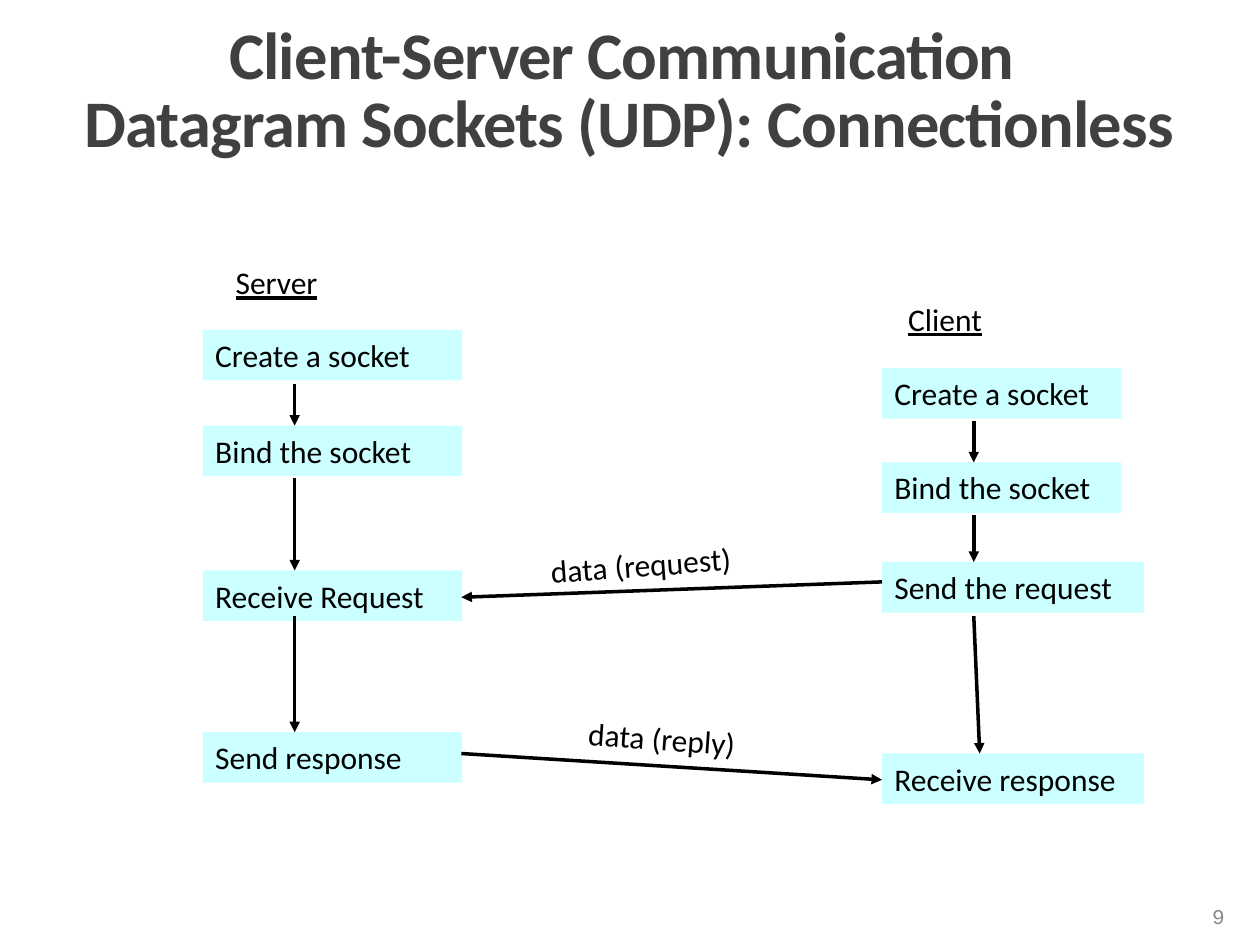
from lxml import etree
from pptx import Presentation
from pptx.dml.color import RGBColor
from pptx.enum.shapes import MSO_CONNECTOR, MSO_SHAPE
from pptx.enum.text import MSO_ANCHOR, PP_ALIGN
from pptx.oxml.ns import qn
from pptx.util import Cm, Pt

RECT = MSO_SHAPE.RECTANGLE
LINE = MSO_CONNECTOR.STRAIGHT
TOP, MID, LOW = MSO_ANCHOR.TOP, MSO_ANCHOR.MIDDLE, MSO_ANCHOR.BOTTOM
LEFT, MIDST, RIGHT = PP_ALIGN.LEFT, PP_ALIGN.CENTER, PP_ALIGN.RIGHT

BODY = {"name": "Calibri", "size": Pt(18)}
HEAD = {"name": "Calibri", "size": Pt(38), "bold": True}
PAGE = {"name": "Courier New", "size": Pt(12)}
ROW = 1.02

SERVER = [
    ("Create a socket", 1.47, 5.23, 2.57),
    ("Bind the socket", 3.4, 5.23, 4.45),
    ("Receive Request", 6.32, 5.23, 7.24),
    ("Send response", 9.58, 5.23, None),
]
CLIENT = [
    ("Create a socket", 1.5, 4.83, 2.56),
    ("Bind the socket", 3.4, 4.83, 4.47),
    ("Send the request", 5.41, 5.28, 6.5),
    ("Receive response", 9.27, 5.28, None),
]


def tint(code):
    """Turn a hex string into a colour."""
    return RGBColor.from_string(code)


def write(shape, text, style, ink="000000", anchor=TOP, align=LEFT):
    """Fill a shape with one formatted paragraph and return it."""
    frame = shape.text_frame
    frame.word_wrap = True
    frame.vertical_anchor = anchor
    para = frame.paragraphs[0]
    para.text = text
    para.alignment = align
    for run in para.runs:
        for key, value in style.items():
            setattr(run.font, key, value)
        run.font.color.rgb = tint(ink)
    return para


def note(slide, box, text, style=BODY, turn=0, **look):
    """Add a text box, turned by the given degrees."""
    shape = slide.shapes.add_textbox(*map(Cm, box))
    shape.rotation = turn
    return write(shape, text, style, **look)


def step(slide, box, text):
    """Add one filled step box."""
    shape = slide.shapes.add_shape(RECT, *map(Cm, box))
    shape.shadow.inherit = False
    shape.fill.solid()
    shape.fill.fore_color.rgb = tint("CCFFFF")
    shape.line.fill.background()
    write(shape, text, BODY)


def arrow(slide, *ends):
    """Add a black arrow between two points."""
    link = slide.shapes.add_connector(LINE, *map(Cm, ends))
    link.line.color.rgb = tint("000000")
    link.line.width = Pt(2)
    tip = etree.SubElement(link.line._get_or_add_ln(), qn("a:tailEnd"))
    tip.set("type", "triangle")
    etree.SubElement(link._element.spPr, qn("a:effectLst"))


def title(slide, box):
    """Add the two-line title."""
    text = "Client-Server Communication \vDatagram Sockets (UDP): Connectionless"
    para = note(slide, box, text, HEAD, ink="404040", anchor=LOW, align=MIDST)
    para.line_spacing = 0.85
    for run in para.runs:
        run.font._element.set("spc", "-50")


def column(slide, left, top, name, inset, steps, lean=0):
    """Add a named column of steps joined by arrows, the last one leaning."""
    note(slide, (left + inset, top, 3.05, 1.09), name, {**BODY, "underline": True})
    for text, down, width, _ in steps:
        step(slide, (left, top + down, width, ROW), text)
    mid = left + 1.85
    for now, then in zip(steps, steps[1:]):
        tilt = lean if then is steps[-1] else 0
        arrow(slide, mid, top + now[3], mid + tilt, top + then[1])


def message(slide, ends, box, text, turn):
    """Add an arrow between the columns with its tilted label."""
    arrow(slide, *ends)
    note(slide, box, text, turn=turn)


def main():
    """Build and save the slide."""
    deck = Presentation()
    deck.slide_width, deck.slide_height = Cm(25.4), Cm(19.05)
    slide = deck.slides.add_slide(deck.slide_layouts[6])
    title(slide, (0.64, 0.2, 24.08, 3.18))
    column(slide, 4.09, 5.18, "Server", 0.41, SERVER)
    column(slide, 17.78, 5.92, "Client", 0.28, CLIENT, lean=0.12)
    message(slide, (17.78, 11.73, 9.3, 12.04),
            (10.85, 10.87, 4.22, ROW), "data (request)", 355.8)
    message(slide, (9.3, 15.19, 17.78, 15.72),
            (11.61, 14.38, 3.53, ROW), "data (reply)", 4.1)
    note(slide, (22.2, 17.96, 2.74, ROW), "9", PAGE,
         ink="898989", anchor=MID, align=RIGHT)
    deck.save("out.pptx")


if __name__ == "__main__":
    main()
